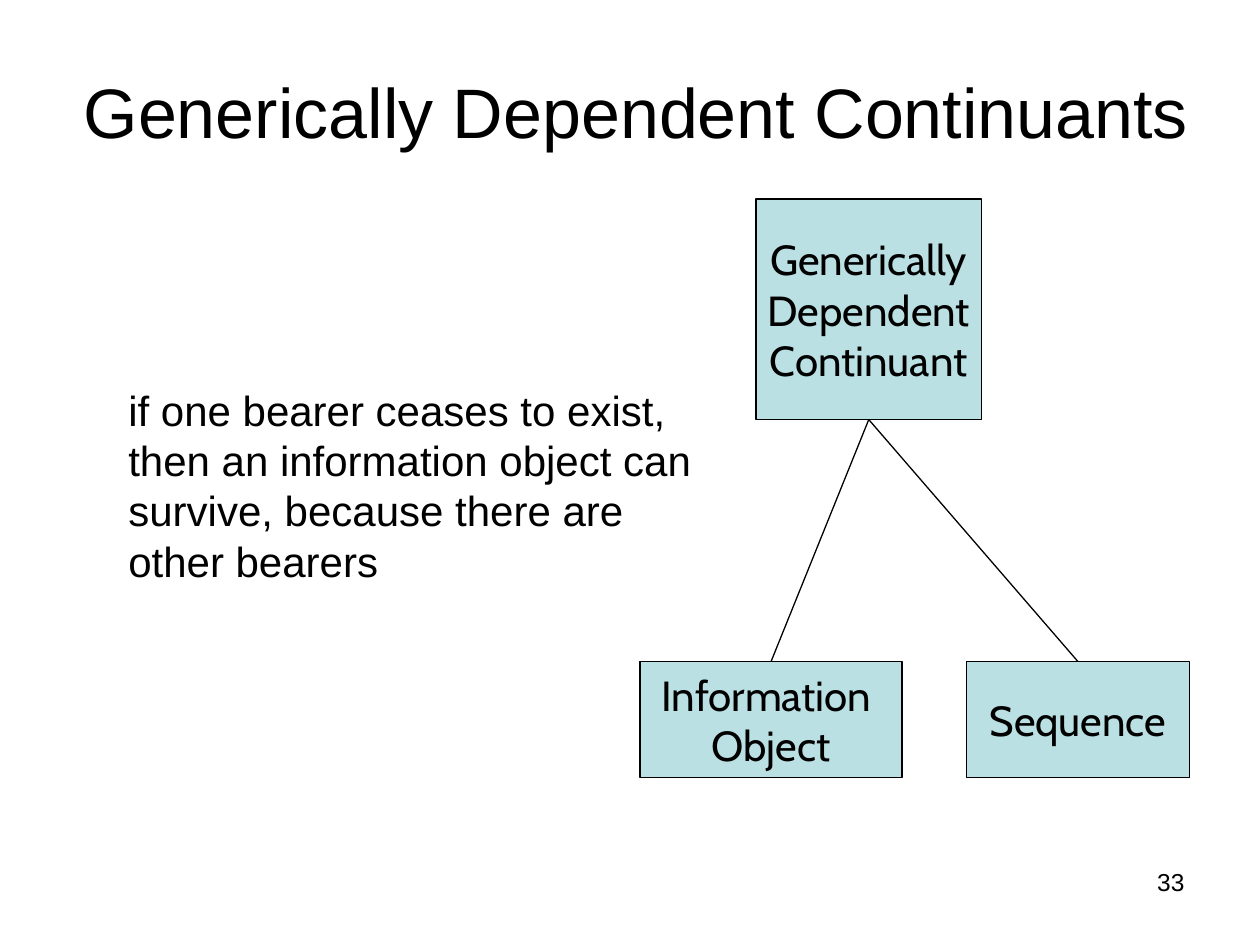
from dataclasses import dataclass

import pptx
import pptx.dml.color
import pptx.enum.shapes
import pptx.enum.text
import pptx.oxml
import pptx.oxml.ns
import pptx.util

Inches = pptx.util.Inches
Pt = pptx.util.Pt
Align = pptx.enum.text.PP_ALIGN
Anchor = pptx.enum.text.MSO_ANCHOR
Fit = pptx.enum.text.MSO_AUTO_SIZE

BLACK = "000000"
TEAL = "BBE0E3"


@dataclass
class Node:
    text: str
    left: float
    top: float
    width: float
    height: float


ROOT = Node("Generically\nDependent\nContinuant", 6, 1.58, 1.79, 1.75)
KINDS = [
    Node("Information \nObject", 5.08, 5.25, 2.08, 0.92),
    Node("Sequence", 7.67, 5.25, 1.77, 0.92),
]


def color(code: str) -> pptx.dml.color.RGBColor:
    return pptx.dml.color.RGBColor.from_string(code)


def write(frame, text: str, size: float, face: str, align) -> None:
    frame.text = text
    for para in frame.paragraphs:
        para.alignment = align
        para.font.size = Pt(size)
        para.font.name = face
        para.font.color.rgb = color(BLACK)


def add_node(slide, node: Node):
    box = slide.shapes.add_shape(
        pptx.enum.shapes.MSO_SHAPE.RECTANGLE,
        Inches(node.left), Inches(node.top),
        Inches(node.width), Inches(node.height))
    box.shadow.inherit = False
    box.fill.solid()
    box.fill.fore_color.rgb = color(TEAL)
    box.line.color.rgb = color(BLACK)
    box.line.width = Pt(0.75)
    frame = box.text_frame
    frame.word_wrap = False
    frame.vertical_anchor = Anchor.MIDDLE
    write(frame, node.text, 24, "Cabin", Align.CENTER)
    return box


def link(slide, upper, lower) -> None:
    line = slide.shapes.add_connector(
        pptx.enum.shapes.MSO_CONNECTOR.STRAIGHT, 0, 0, 0, 0)
    # Bottom centre of the upper box to top centre of the lower one
    line.begin_connect(upper, 2)
    line.end_connect(lower, 0)
    line.line.color.rgb = color(BLACK)
    line.line.width = Pt(0.75)
    props = line._element.spPr
    props.append(pptx.oxml.parse_xml(
        f"<a:effectLst {pptx.oxml.ns.nsdecls('a')}/>"))


def add_text(slide, text: str, left: float, top: float, width: float,
             height: float, size: float, align, fit) -> None:
    box = slide.shapes.add_textbox(
        Inches(left), Inches(top), Inches(width), Inches(height))
    box.text_frame.word_wrap = True
    box.text_frame.auto_size = fit
    write(box.text_frame, text, size, "Arial", align)


def main() -> None:
    deck = pptx.Presentation()
    deck.slide_width, deck.slide_height = Inches(10), Inches(7.5)
    slide = deck.slides.add_slide(deck.slide_layouts.get_by_name("Title Only"))

    # Title
    title = slide.shapes.title
    title.left, title.top = Inches(0.42), Inches(0.25)
    title.width, title.height = Inches(9.25), Inches(1.25)
    title.text_frame.auto_size = Fit.NONE
    title.text_frame.vertical_anchor = Anchor.MIDDLE
    write(title.text_frame, "Generically Dependent Continuants", 40, "Arial",
          Align.CENTER)

    # Tree of kinds
    root = add_node(slide, ROOT)
    leaves = [add_node(slide, kind) for kind in KINDS]
    for leaf in leaves:
        link(slide, root, leaf)

    # Remark and page number
    add_text(slide, "if one bearer ceases to exist, then an information object "
             "can survive, because there are other bearers",
             0.92, 3, 4.75, 1.7, 24, Align.LEFT, Fit.SHAPE_TO_FIT_TEXT)
    add_text(slide, "33", 7.17, 6.83, 2.33, 0.52, 14, Align.RIGHT, Fit.NONE)

    deck.save("out.pptx")


if __name__ == "__main__":
    main()
